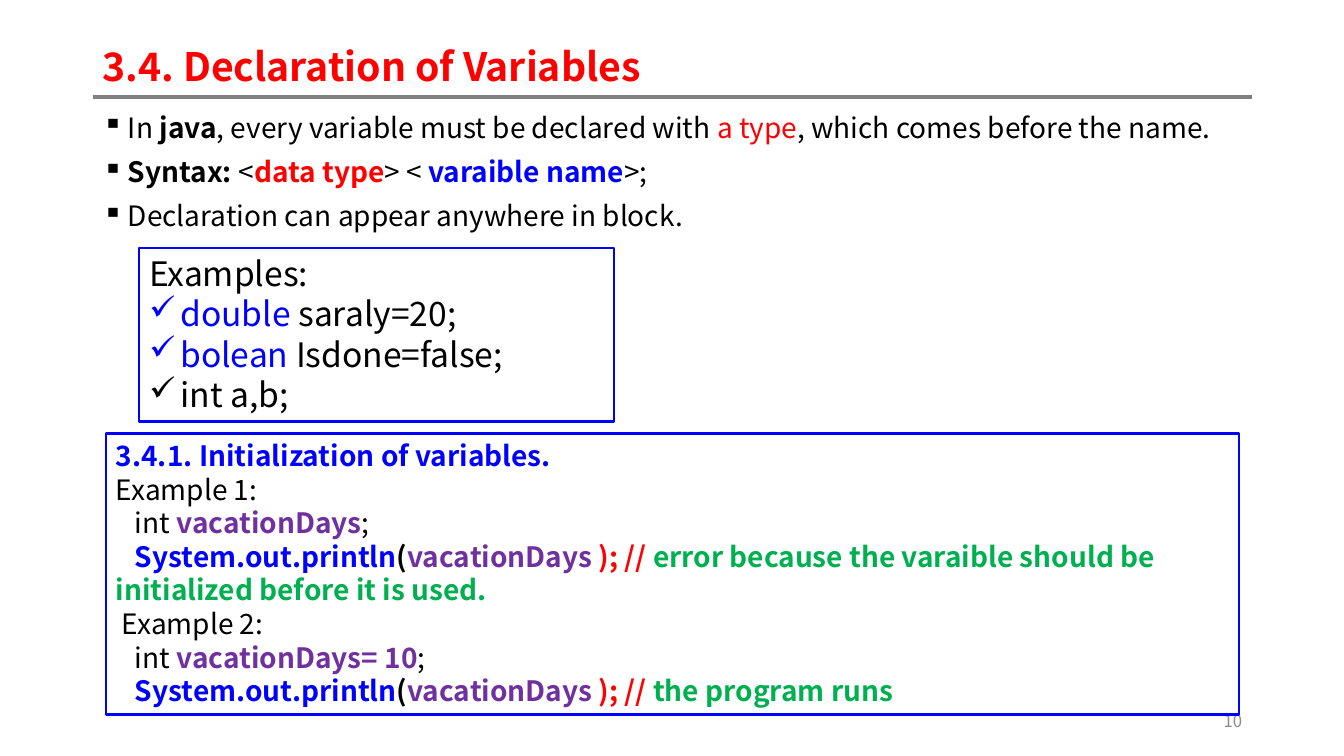
from dataclasses import dataclass

from lxml import etree
from pptx import Presentation
from pptx.dml.color import RGBColor
from pptx.enum.shapes import MSO_CONNECTOR, MSO_SHAPE
from pptx.enum.text import MSO_ANCHOR, PP_ALIGN
from pptx.oxml.ns import qn
from pptx.util import Inches, Pt

STRAIGHT = MSO_CONNECTOR.STRAIGHT
RECTANGLE = MSO_SHAPE.RECTANGLE
TOP, MIDDLE = MSO_ANCHOR.TOP, MSO_ANCHOR.MIDDLE
LEFT, RIGHT = PP_ALIGN.LEFT, PP_ALIGN.RIGHT


@dataclass(frozen=True)
class Theme:
    font: str = "Noto Sans CJK KR"
    black: str = "000000"
    red: str = "FF0000"
    blue: str = "0000FF"
    purple: str = "7030A0"
    green: str = "00B050"
    rule: str = "808080"
    muted: str = "8C8C8C"
    title: int = 28
    example: int = 24
    body: int = 20
    footer: int = 12
    rule_width: float = 3
    border_width: float = 1.75


@dataclass(frozen=True)
class Line:
    spans: list
    indent: float = 0
    bullet: str = ""


class SlideBuilder:
    def __init__(self, page, theme):
        self.page = page
        self.theme = theme

    def rule(self, left, right, top):
        line = self.page.shapes.add_connector(
            STRAIGHT, Inches(left), Inches(top), Inches(right), Inches(top))
        line.line.color.rgb = RGBColor.from_string(self.theme.rule)
        line.line.width = Pt(self.theme.rule_width)
        etree.SubElement(line._element.spPr, qn("a:effectLst"))

    def text(self, area, lines, size, **style):
        box = self.page.shapes.add_textbox(*map(Inches, area))
        self.fill_text(box.text_frame, lines, size, **style)

    def frame(self, area, lines, size):
        box = self.page.shapes.add_shape(RECTANGLE, *map(Inches, area))
        box.shadow.inherit = False
        box.fill.background()
        box.line.color.rgb = RGBColor.from_string(self.theme.blue)
        box.line.width = Pt(self.theme.border_width)
        self.fill_text(box.text_frame, lines, size)

    def fill_text(self, frame, lines, size, anchor=TOP, align=LEFT,
                  leading=1.2, gap=0):
        frame.word_wrap = True
        frame.vertical_anchor = anchor
        frame.text = "\n" * (len(lines) - 1)
        for para, line in zip(frame.paragraphs, lines):
            para.alignment = align
            para.line_spacing = Pt(size * leading)
            para.space_before = Pt(gap)
            self.indent(para, line)
            for words, color, bold in line.spans:
                span = para.add_run()
                span.text = words
                span.font.name = self.theme.font
                span.font.size = Pt(size)
                span.font.bold = bold
                span.font.color.rgb = RGBColor.from_string(color)

    def indent(self, para, line):
        properties = para._p.get_or_add_pPr()
        width = Inches(line.indent)
        if line.bullet:
            properties.set("marL", str(width))
            properties.set("indent", str(-width))
            etree.SubElement(properties, qn("a:buChar"), char=line.bullet)
        else:
            properties.set("indent", str(width))


theme = Theme()


def plain(words, color=theme.black):
    return words, color, False


def strong(words, color=theme.black):
    return words, color, True


def point(*spans):
    return Line(spans, 0.25, "▪")


def check(*spans):
    return Line(spans, 0.31, "✓")


def declaration(name):
    return Line([plain("int "), strong(name, theme.purple), plain(";")], 0.19)


def print_call(remark):
    return Line([
        strong("System.out.println", theme.blue),
        strong("("),
        strong("vacationDays ", theme.purple),
        strong("); // ", theme.red),
        strong(remark, theme.green),
    ], 0.19)


deck = Presentation()
deck.slide_width, deck.slide_height = Inches(13.33), Inches(7.5)
builder = SlideBuilder(deck.slides.add_slide(deck.slide_layouts[6]), theme)

builder.rule(0.92, 12.42, 0.96)
builder.text(
    (0.92, 0.4, 11.5, 0.56),
    [Line([strong("3.4. Declaration of Variables", theme.red)])],
    theme.title, anchor=MIDDLE, leading=1.08)

builder.text((0.92, 1.08, 11.5, 1.3), [
    point(plain("In "), strong("java"),
          plain(", every variable must be declared with "),
          plain("a type", theme.red),
          plain(", which comes before the name.")),
    point(strong("Syntax: "), plain("<"), strong("data type", theme.red),
          plain("> < "), strong("varaible name", theme.blue), plain(">;")),
    point(plain("Declaration can appear anywhere in block.")),
], theme.body, leading=1.08, gap=10)

builder.text((9.42, 6.95, 3, 0.4), [Line([plain("10", theme.muted)])],
             theme.footer, anchor=MIDDLE, align=RIGHT)

builder.frame((1.38, 2.46, 4.71, 1.72), [
    Line([plain("Examples:")]),
    check(plain("double ", theme.blue), plain("saraly=20;")),
    check(plain("bolean ", theme.blue), plain("Isdone=false;")),
    check(plain("int a,b;")),
], theme.example)

builder.frame((1.05, 4.3, 11.24, 2.79), [
    Line([strong("3.4.1. Initialization of variables.", theme.blue)]),
    Line([plain("Example 1:")]),
    declaration("vacationDays"),
    print_call("error because the varaible should be initialized "
               "before it is used."),
    Line([plain("Example 2:")], 0.06),
    declaration("vacationDays= 10"),
    print_call("the program runs"),
], theme.body)

deck.save("out.pptx")
